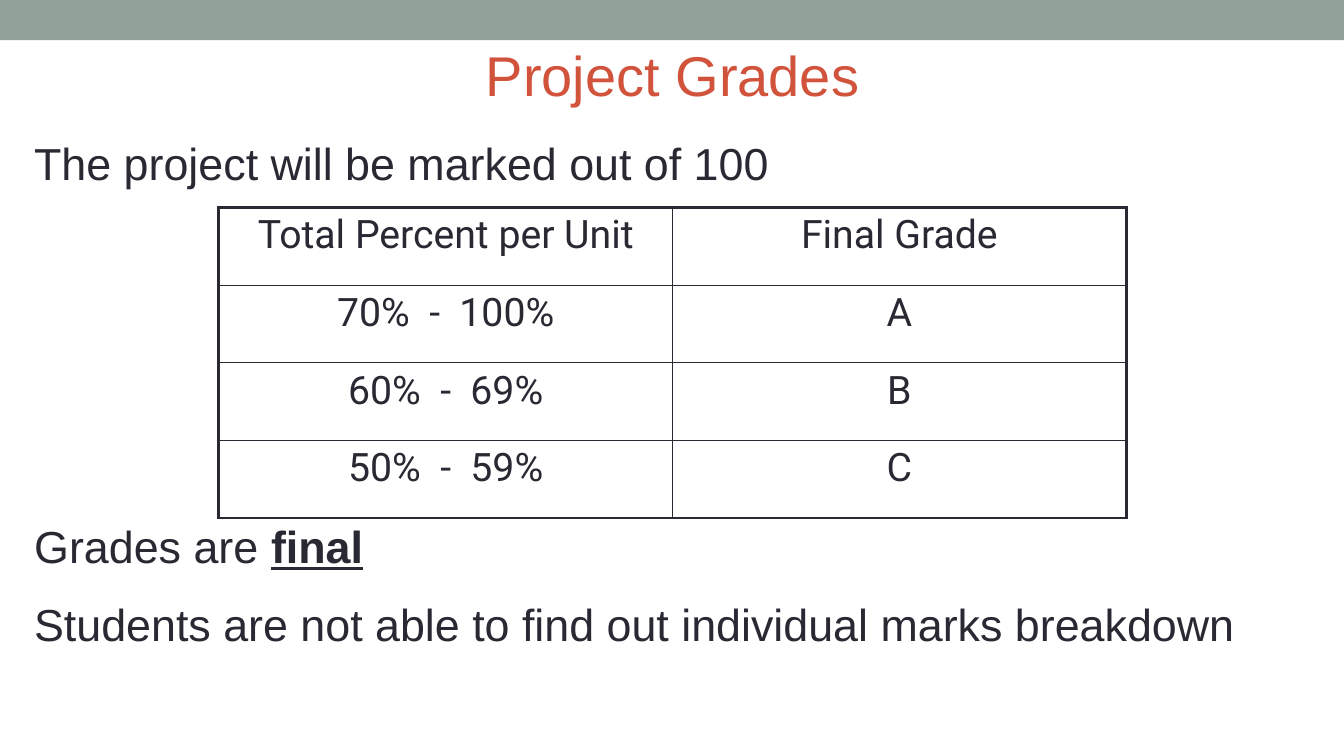
from lxml import etree
from pptx import Presentation
from pptx.dml.color import RGBColor
from pptx.enum import shapes, text
from pptx.oxml import ns
from pptx.util import Inches, Pt

INK = "292934"
GRADES = [
    ("Total Percent per Unit", "Final Grade"),
    ("70%  -  100%", "A"),
    ("60%  -  69%", "B"),
    ("50%  -  59%", "C"),
]


def color(value):
    return RGBColor.from_string(value)


def add_run(paragraph, words, size, font="Arial", ink=INK, strong=False):
    run = paragraph.add_run()
    run.text = words
    run.font.size = Pt(size)
    run.font.name = font
    run.font.color.rgb = color(ink)
    run.font.bold = strong
    run.font.underline = strong


def add_band(slide, width):
    band = slide.shapes.add_shape(shapes.MSO_SHAPE.RECTANGLE, 0, 0, width, Inches(0.4))
    band.shadow.inherit = False
    band.fill.solid()
    band.fill.fore_color.rgb = color("93A299")
    band.line.fill.background()


def add_text_frame(slide, left, top, width, height):
    frame = slide.shapes.add_textbox(
        Inches(left), Inches(top), Inches(width), Inches(height)
    ).text_frame
    frame.word_wrap = True
    return frame


def add_title(slide, words):
    frame = add_text_frame(slide, 2.17, 0.32, 9, 0.83)
    frame.vertical_anchor = text.MSO_ANCHOR.MIDDLE
    heading = frame.paragraphs[0]
    heading.alignment = text.PP_ALIGN.CENTER
    add_run(heading, words, 40, ink="D2533C")


def add_statements(slide):
    frame = add_text_frame(slide, 0.24, 1.3, 12.72, 5.45)
    statements = [
        (0, [("The project will be marked out of 100", False)]),
        (235, [("Grades are ", False), ("final", True)]),
        (17.5, [("Students are not able to find out individual marks breakdown", False)]),
    ]
    for index, (gap, parts) in enumerate(statements):
        statement = frame.add_paragraph() if index else frame.paragraphs[0]
        statement.space_before = Pt(gap)
        for words, strong in parts:
            add_run(statement, words, 32, strong=strong)


def set_border(cell, side, points):
    properties = cell._tc.get_or_add_tcPr()
    border = etree.SubElement(properties, ns.qn(f"a:ln{side}"), w=str(Pt(points)))
    fill = etree.SubElement(border, ns.qn("a:solidFill"))
    etree.SubElement(fill, ns.qn("a:srgbClr"), val=INK)


def add_grade_table(slide):
    row_count, column_count = len(GRADES), len(GRADES[0])
    table = slide.shapes.add_table(
        row_count, column_count,
        Inches(2.17), Inches(2.06), Inches(9), Inches(0.77 * row_count),
    ).table
    table.first_row = False
    table.horz_banding = False
    for r, grades in enumerate(GRADES):
        for c, words in enumerate(grades):
            cell = table.cell(r, c)
            outer_edges = {
                "L": c == 0,
                "R": c == column_count - 1,
                "T": r == 0,
                "B": r == row_count - 1,
            }
            for side, outer in outer_edges.items():
                set_border(cell, side, 2.25 if outer else 1)
            cell.fill.background()
            entry = cell.text_frame.paragraphs[0]
            entry.alignment = text.PP_ALIGN.CENTER
            add_run(entry, words, 28, font="Roboto")


def main():
    deck = Presentation()
    deck.slide_width = Inches(13.33)
    deck.slide_height = Inches(7.5)
    slide = deck.slides.add_slide(deck.slide_layouts[6])
    add_band(slide, deck.slide_width)
    add_title(slide, "Project Grades")
    add_statements(slide)
    add_grade_table(slide)
    deck.save("out.pptx")


if __name__ == "__main__":
    main()
